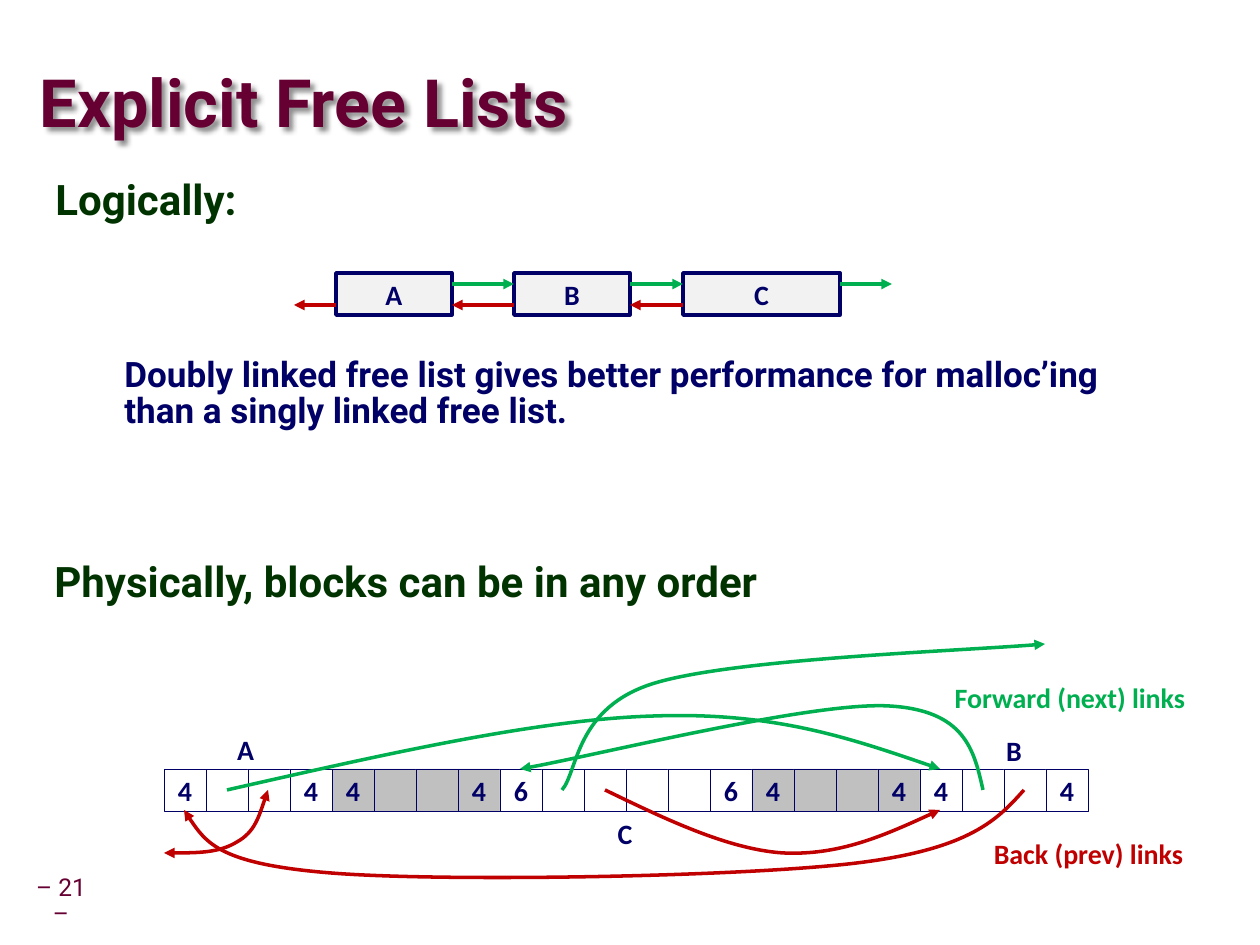
import dataclasses
import typing

import lxml.etree
import pptx
import pptx.dml.color
import pptx.enum.shapes
import pptx.enum.text
import pptx.oxml
import pptx.oxml.ns
import pptx.util

EMU_PER_PX = 914400 / 126
MAROON, DARK_GREEN, NAVY = "660033", "003300", "000066"
FORWARD, BACK = "00B050", "C00000"
FREE, ALLOCATED, NODE_FILL = "FFFFFF", "C0C0C0", "F2F2F2"
ALIGN = pptx.enum.text.PP_ALIGN
ANCHOR = pptx.enum.text.MSO_ANCHOR
qn = pptx.oxml.ns.qn


@dataclasses.dataclass(frozen=True)
class Box:
    left: int
    top: int
    width: int
    height: int

    @property
    def right(self) -> int:
        return self.left + self.width


@dataclasses.dataclass(frozen=True)
class Block:
    size: int
    fill: str


@dataclasses.dataclass(frozen=True)
class Link:
    color: str
    points: list
    both_ends: bool = False


@dataclasses.dataclass(frozen=True)
class Style:
    size: int
    color: str
    name: str = "Roboto"
    bold: bool = True
    line_spacing: float = 1.0
    alignment: typing.Any = ALIGN.LEFT


@dataclasses.dataclass(frozen=True)
class Label:
    text: str
    box: Box
    color: str = NAVY


NODES = {"A": Box(336, 273, 116, 42), "B": Box(514, 273, 116, 42), "C": Box(683, 273, 157, 42)}
CHAIN_START, CHAIN_END, NEXT_Y, PREV_Y = 294, 892, 284, 305
HEAP_LEFT, HEAP_TOP, CELL = 164, 769, 42
HEAP = [Block(4, FREE), Block(4, ALLOCATED), Block(6, FREE), Block(4, ALLOCATED), Block(4, FREE)]
LINKS = [
    Link(FORWARD, [(227, 790), (382, 755), (538, 719), (656, 716), (776, 712), (858, 741), (940, 769)]),
    Link(FORWARD, [(983, 790), (974, 750), (965, 710), (888, 706), (811, 702), (582, 759), (520, 769)]),
    Link(BACK, [(1024, 790), (998, 819), (971, 849), (857, 863), (741, 877), (444, 882), (331, 873),
                (219, 864), (202, 838), (184, 810)]),
    Link(BACK, [(605, 790), (665, 819), (727, 849), (782, 853), (839, 856), (890, 833), (940, 810)]),
    Link(FORWARD, [(562, 790), (578, 772), (575, 707), (655, 683), (735, 659), (963, 651), (1045, 644)]),
    Link(BACK, [(268, 790), (261, 810), (255, 832), (237, 842), (219, 853), (192, 853), (164, 853)], True),
]
LABELS = [
    Label("Forward (next) links", Box(941, 674, 258, 47), FORWARD),
    Label("Back (prev) links", Box(980, 830, 217, 47), BACK),
    Label("A", Box(224, 726, 43, 47)),
    Label("B", Box(993, 727, 42, 47)),
    Label("C", Box(605, 810, 40, 47)),
]
HEADING = Style(24, DARK_GREEN, line_spacing=0.85)
DETAIL = Style(20, NAVY, line_spacing=0.85)


def px(length: int) -> int:
    return round(length * EMU_PER_PX)


def rgb(color: str) -> pptx.dml.color.RGBColor:
    return pptx.dml.color.RGBColor.from_string(color)


def apply(target: typing.Any, values: dict) -> None:
    for attribute, value in values.items():
        setattr(target, attribute, value)


def corners(box: Box) -> list:
    return [px(length) for length in dataclasses.astuple(box)]


def label_style(color: str) -> Style:
    return Style(16, color, "Calibri", alignment=ALIGN.CENTER)


def write(paragraph: typing.Any, text: str, style: Style) -> None:
    paragraph.text = text
    apply(paragraph, {"alignment": style.alignment, "line_spacing": style.line_spacing})
    font = paragraph.runs[0].font
    apply(font, {"name": style.name, "size": pptx.util.Pt(style.size), "bold": style.bold})
    font.color.rgb = rgb(style.color)


def add_text(slide: typing.Any, text: str, box: Box, style: Style, **frame_format) -> typing.Any:
    frame = slide.shapes.add_textbox(*corners(box)).text_frame
    apply(frame, {"word_wrap": True, **frame_format})
    write(frame.paragraphs[0], text, style)
    return frame


def add_rectangle(slide: typing.Any, box: Box, fill: str, line_width: float, text: str) -> None:
    rectangle = slide.shapes.add_shape(pptx.enum.shapes.MSO_SHAPE.RECTANGLE, *corners(box))
    rectangle.shadow.inherit = False
    rectangle.fill.solid()
    rectangle.fill.fore_color.rgb = rgb(fill)
    rectangle.line.color.rgb = rgb(NAVY)
    rectangle.line.width = pptx.util.Pt(line_width)
    apply(rectangle.text_frame, {"word_wrap": False, "vertical_anchor": ANCHOR.MIDDLE})
    if text:
        write(rectangle.text_frame.paragraphs[0], text, label_style(NAVY))


def format_arrow(arrow: typing.Any, color: str, ends: list) -> None:
    arrow.line.color.rgb = rgb(color)
    arrow.line.width = pptx.util.Pt(2)
    outline = arrow.element.spPr.find(qn("a:ln"))
    for end in ends:
        lxml.etree.SubElement(outline, qn(end), type="triangle")


def add_arrow(slide: typing.Any, start: int, end: int, y: int, color: str) -> None:
    arrow = slide.shapes.add_connector(
        pptx.enum.shapes.MSO_CONNECTOR.STRAIGHT, px(start), px(y), px(end), px(y))
    format_arrow(arrow, color, ["a:tailEnd"])
    lxml.etree.SubElement(arrow.element.spPr, qn("a:effectLst"))


def add_curve(slide: typing.Any, link: Link) -> None:
    builder = slide.shapes.build_freeform(*link.points[0], scale=EMU_PER_PX)
    builder.add_line_segments(link.points[1:], close=False)
    curve = builder.convert_to_shape()
    outline = next(curve.element.iter(qn("a:path")))
    segments = outline.findall(qn("a:lnTo"))
    for first in range(0, len(segments), 3):
        bezier = lxml.etree.SubElement(outline, qn("a:cubicBezTo"))
        for segment in segments[first:first + 3]:
            bezier.append(segment[0])
            outline.remove(segment)
    curve.fill.background()
    curve.shadow.inherit = False
    format_arrow(curve, link.color, ["a:headEnd", "a:tailEnd"] if link.both_ends else ["a:tailEnd"])


def add_title(slide: typing.Any) -> None:
    title = slide.shapes.title
    apply(title, dict(zip(("left", "top", "width", "height"), corners(Box(40, 67, 837, 79)))))
    apply(title.text_frame, {
        "margin_left": 0, "margin_top": 0, "margin_right": 0, "margin_bottom": 0,
        "word_wrap": True, "vertical_anchor": ANCHOR.MIDDLE,
        "auto_size": pptx.enum.text.MSO_AUTO_SIZE.NONE})
    write(title.text_frame.paragraphs[0], "Explicit Free Lists", Style(38, MAROON, line_spacing=0.87))
    title.element.spPr.append(pptx.oxml.parse_xml(
        '<a:effectLst xmlns:a="http://schemas.openxmlformats.org/drawingml/2006/main">'
        '<a:outerShdw blurRad="38100" dist="38100" dir="2700000" algn="tl">'
        '<a:srgbClr val="000000"><a:alpha val="43000"/></a:srgbClr></a:outerShdw></a:effectLst>'))


def add_logical_view(slide: typing.Any) -> None:
    frame = add_text(slide, "Logically:", Box(43, 175, 1145, 335), HEADING)
    detail = frame.add_paragraph()
    write(detail, "Doubly linked free list gives better performance for malloc’ing "
                  "than a singly linked free list.", DETAIL)
    detail.space_before = pptx.util.Pt(77)
    detail._p.get_or_add_pPr().set("marL", str(px(69)))
    for name, node in NODES.items():
        add_rectangle(slide, node, NODE_FILL, 2, name)
    nodes = list(NODES.values())
    next_ends = [node.left for node in nodes[1:]] + [CHAIN_END]
    prev_ends = [CHAIN_START] + [node.right for node in nodes[:-1]]
    for node, next_end, prev_end in zip(nodes, next_ends, prev_ends):
        add_arrow(slide, node.right, next_end, NEXT_Y, FORWARD)
        add_arrow(slide, node.left, prev_end, PREV_Y, BACK)


def add_physical_view(slide: typing.Any) -> None:
    add_text(slide, "Physically, blocks can be in any order", Box(42, 557, 1145, 335), HEADING)
    left = HEAP_LEFT
    for block in HEAP:
        for position in range(block.size):
            text = str(block.size) if position in (0, block.size - 1) else ""
            add_rectangle(slide, Box(left, HEAP_TOP, CELL, CELL), block.fill, 0.25, text)
            left += CELL
    for link in LINKS:
        add_curve(slide, link)
    for label in LABELS:
        add_text(slide, label.text, label.box, label_style(label.color), word_wrap=False)


def main() -> None:
    deck = pptx.Presentation()
    apply(deck, {"slide_width": px(1260), "slide_height": px(945)})
    slide = deck.slides.add_slide(deck.slide_layouts[5])
    add_title(slide)
    add_logical_view(slide)
    add_physical_view(slide)
    add_text(slide, "– 21 –", Box(27, 882, 68, 39),
             Style(14, MAROON, bold=False, line_spacing=0.9, alignment=ALIGN.CENTER),
             margin_left=px(6), margin_right=px(6), vertical_anchor=ANCHOR.MIDDLE)
    deck.save("out.pptx")


if __name__ == "__main__":
    main()
